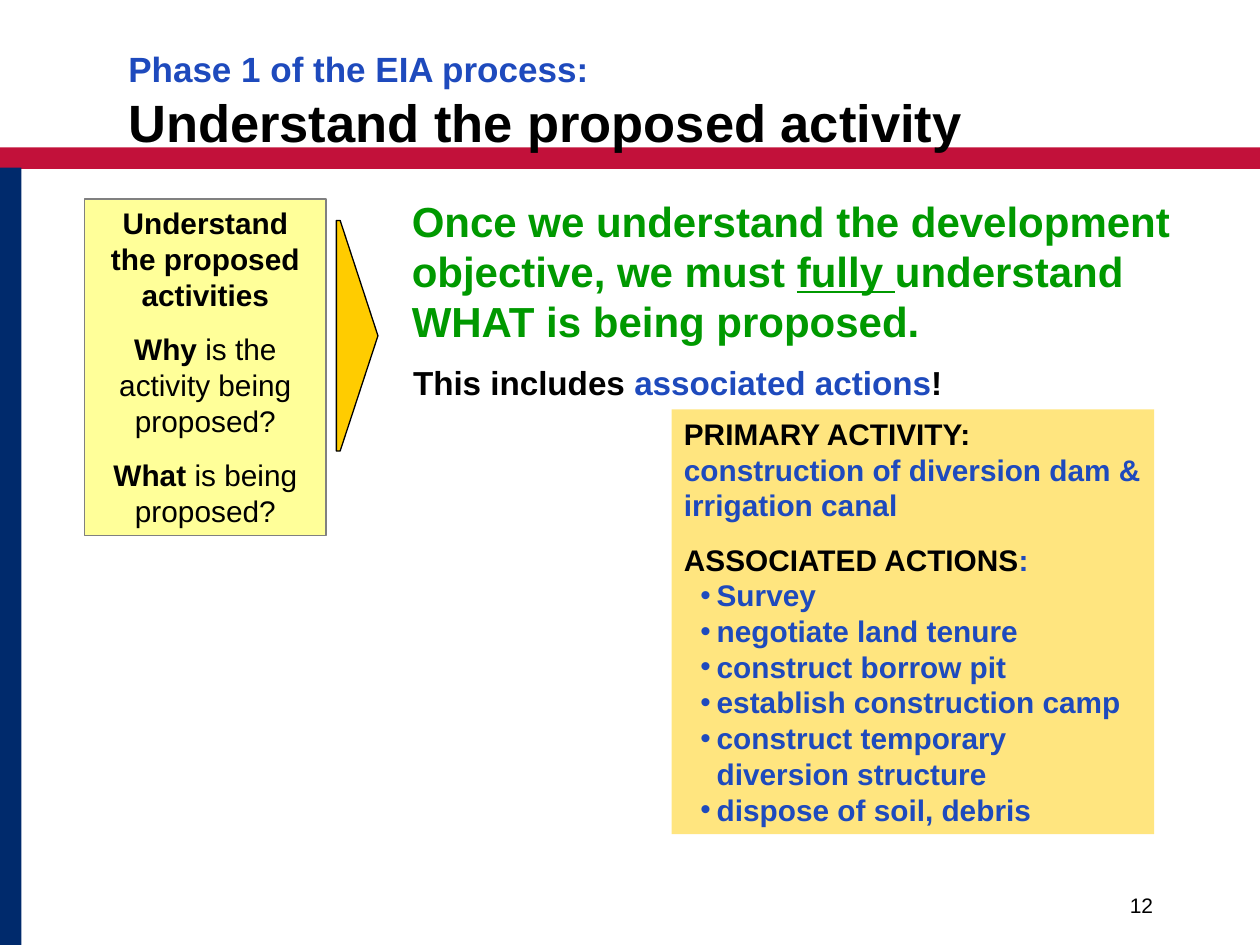
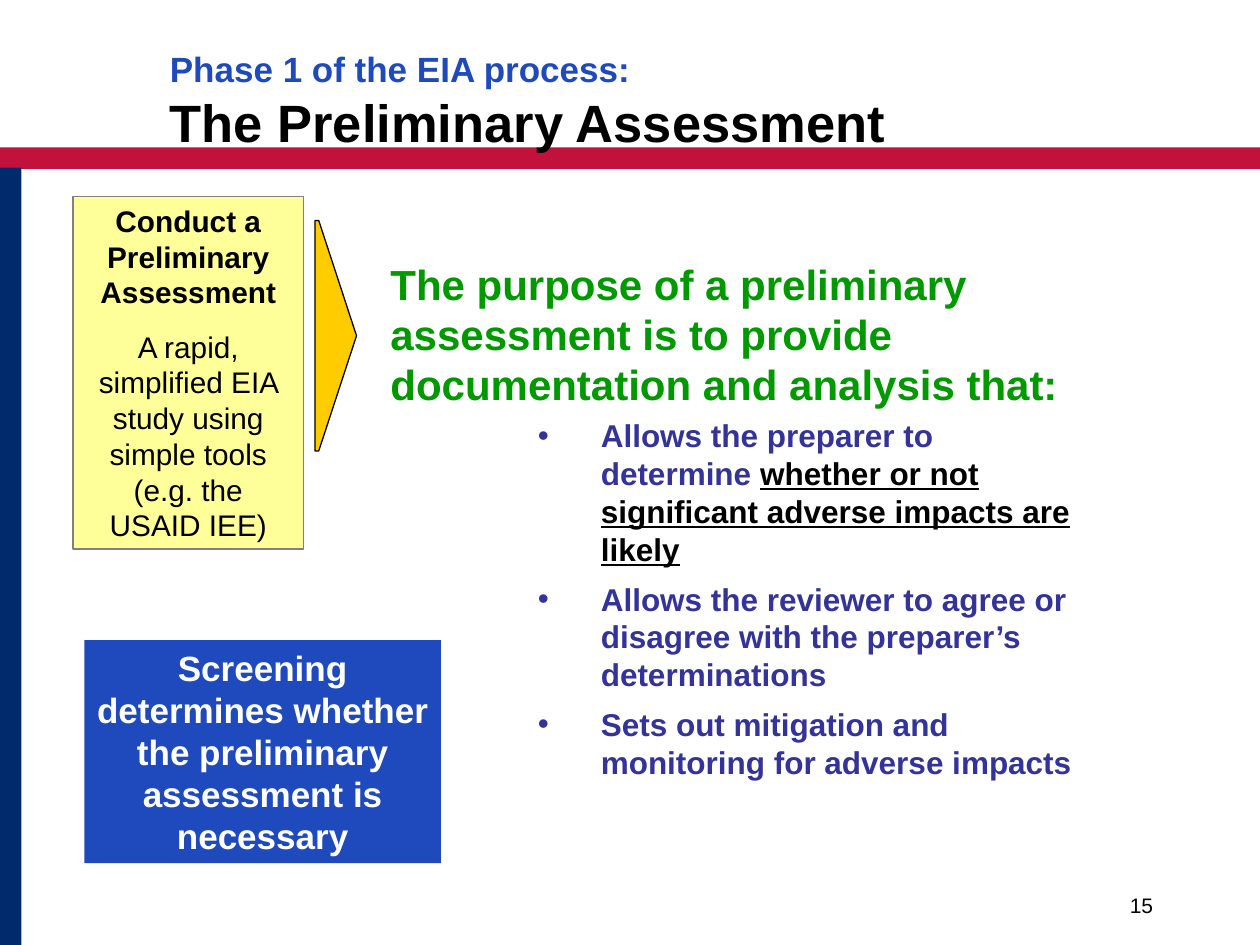
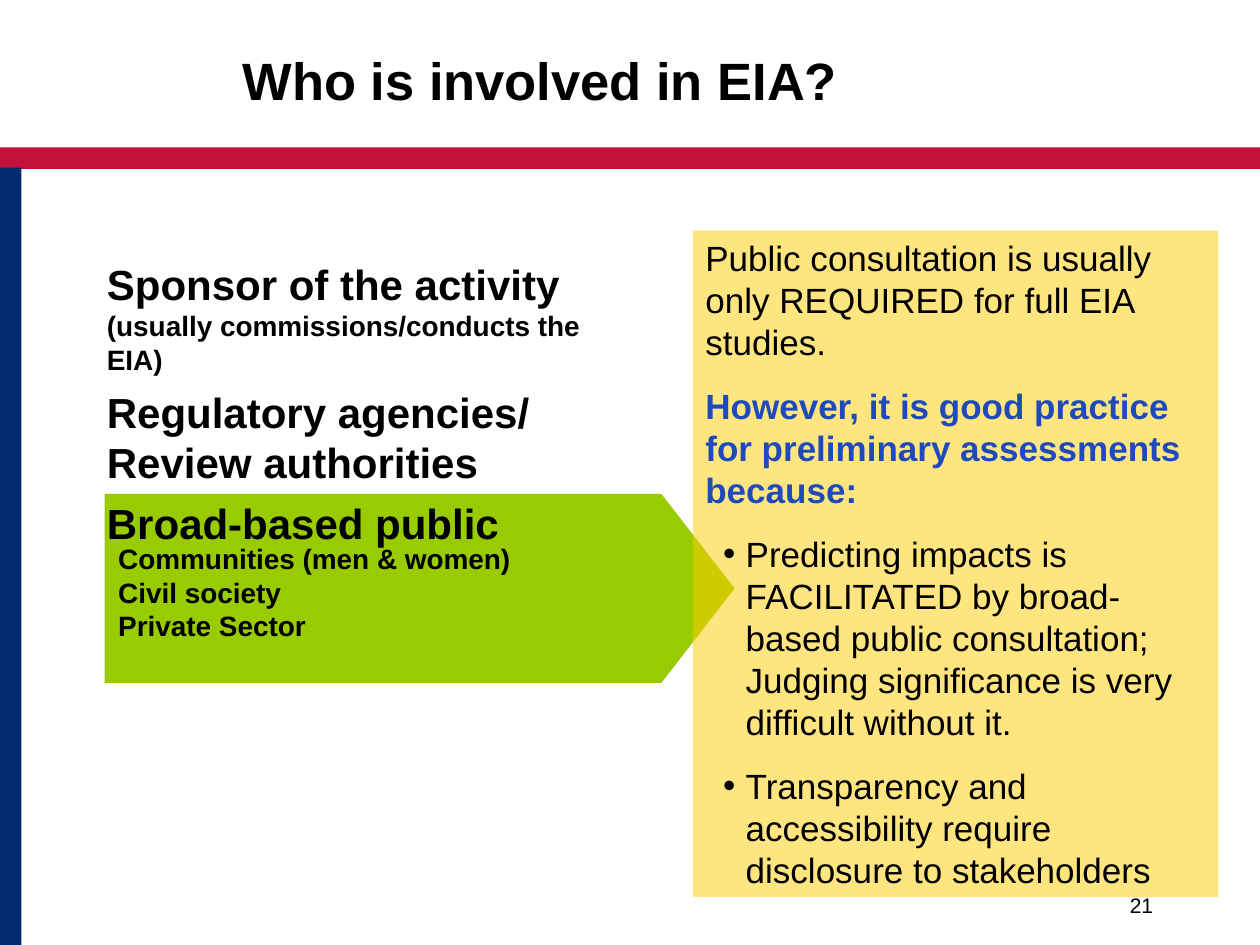
from lxml import etree
from pptx import Presentation
from pptx.dml.color import RGBColor
from pptx.enum.shapes import MSO_SHAPE
from pptx.enum.text import MSO_ANCHOR, PP_ALIGN
from pptx.oxml.ns import qn
from pptx.util import Inches, Pt

RECT = MSO_SHAPE.RECTANGLE
TOP, MIDDLE, BOTTOM = MSO_ANCHOR.TOP, MSO_ANCHOR.MIDDLE, MSO_ANCHOR.BOTTOM
LEFT, CENTER, RIGHT = PP_ALIGN.LEFT, PP_ALIGN.CENTER, PP_ALIGN.RIGHT

FONT = "Arial"
BLACK, WHITE, GRAY = "000000", "FFFFFF", "808080"
RED, NAVY = "C2113A", "002A6C"
BLUE, INDIGO, GREEN = "1E4ABD", "333399", "009900"
GOLD, PALE, LIME = "FFCC00", "FFFF99", "99CC00"


def rgb(color):
    return RGBColor.from_string(color)


def run(text, size, color=BLACK, bold=True, underline=False):
    return text, size, color, bold, underline


def para(*runs, before=0, after=0, bullet=None):
    return runs, before, after, bullet


def add_bullet(p, margin, hang, color, level):
    p.level = level
    pPr = p._p.get_or_add_pPr()
    pPr.set("marL", str(Inches(margin)))
    pPr.set("indent", str(-Inches(hang)))
    clr = etree.SubElement(pPr, qn("a:buClr"))
    etree.SubElement(clr, qn("a:srgbClr")).set("val", color)
    etree.SubElement(pPr, qn("a:buFont")).set("typeface", FONT)
    etree.SubElement(pPr, qn("a:buChar")).set("char", "•")


def write(sp, paras, align=LEFT, anchor=TOP):
    tf = sp.text_frame
    tf.word_wrap = True
    tf.vertical_anchor = anchor
    for i, (runs, before, after, bullet) in enumerate(paras):
        p = tf.paragraphs[0] if i == 0 else tf.add_paragraph()
        if bullet:
            add_bullet(p, *bullet)
        p.alignment = align
        p.space_before = Pt(before)
        p.space_after = Pt(after)
        for text, size, color, bold, underline in runs:
            for n, line in enumerate(text.split("\n")):
                if n:
                    p.add_line_break()
                if not line:
                    continue
                r = p.add_run()
                r.text = line
                r.font.name = FONT
                r.font.size = Pt(size)
                r.font.bold = bold
                r.font.underline = underline
                r.font.color.rgb = rgb(color)


def paint(sp, fill, line=None, width=1, alpha=None):
    sp.shadow.inherit = False
    sp.fill.solid()
    sp.fill.fore_color.rgb = rgb(fill)
    if alpha:
        clr = sp._element.spPr.find(qn("a:solidFill"))[0]
        etree.SubElement(clr, qn("a:alpha")).set("val", str(alpha * 1000))
    if line:
        sp.line.color.rgb = rgb(line)
        sp.line.width = Pt(width)
    else:
        sp.line.fill.background()


def text_box(s, box, paras, **style):
    write(s.shapes.add_textbox(*map(Inches, box)), paras, **style)


def panel(s, box, fill, paras=(), align=LEFT, **look):
    sp = s.shapes.add_shape(RECT, *map(Inches, box))
    paint(sp, fill, **look)
    write(sp, paras, align)


def pointer(s, box, shoulder, fill, line=None):
    x, y, w, h = box
    points = [(x + shoulder, y), (x + w, y + h / 2), (x + shoulder, y + h), (x, y + h)]
    fb = s.shapes.build_freeform(Inches(x), Inches(y))
    fb.add_line_segments([(Inches(px), Inches(py)) for px, py in points])
    paint(fb.convert_to_shape(), fill, line, 0.75)


def frame(prs, number):
    s = prs.slides.add_slide(prs.slide_layouts[6])
    panel(s, (0, 1.17, 10, 0.17), RED)
    panel(s, (0, 1.33, 0.17, 6.17), NAVY)
    text_box(s, (7.17, 6.83, 2.08, 0.5), [para(run(number, 12, bold=False))],
             align=RIGHT, anchor=BOTTOM)
    return s


def title(s, left, text, phase=None):
    runs = [run(phase + "\n", 20, BLUE)] if phase else []
    text_box(s, (left, 0.33, 8.5, 0.67), [para(*runs, run(text, 30))])


def step(s, box, arrow_left, paras):
    panel(s, box, PALE, paras, CENTER, line=GRAY)
    pointer(s, (arrow_left, 1.75, 0.33, 1.83), 0.03, GOLD, BLACK)


def activity_slide(prs, phase):
    s = frame(prs, "12")
    title(s, 0.92, "Understand the proposed activity", phase)
    step(s, (0.67, 1.58, 1.92, 2.67), 2.67, [
        para(run("Understand the proposed activities", 17), after=10.6),
        para(run("Why", 17), run(" is the activity being proposed?", 17, bold=False), after=10.6),
        para(run("What", 17), run(" is being proposed?", 17, bold=False), after=10.6),
    ])
    text_box(s, (3.17, 1.5, 6.83, 1.3), [para(
        run("Once we understand the development objective, we must ", 24, GREEN),
        run("fully ", 24, GREEN, underline=True),
        run("understand WHAT is being proposed.", 24, GREEN))])
    text_box(s, (3.18, 2.83, 4.5, 0.74), [para(
        run("This includes ", 19), run("associated actions", 19, BLUE), run("!", 19))])
    actions = ["Survey", "negotiate land tenure", "construct borrow pit",
               "establish construction camp", "construct temporary diversion structure",
               "dispose of soil, debris"]
    panel(s, (5.33, 3.25, 3.83, 3.37), GOLD, [
        para(run("PRIMARY ACTIVITY: ", 17),
             run("construction of diversion dam & irrigation canal", 17, BLUE)),
        para(run("ASSOCIATED ACTIONS", 17), run(":", 17, BLUE), before=10.6),
        *[para(run(a, 17, BLUE), bullet=(0.26, 0.13, BLUE, 1)) for a in actions],
    ], alpha=50)


def assessment_slide(prs, phase):
    s = frame(prs, "15")
    title(s, 1.25, "The Preliminary Assessment", phase)
    step(s, (0.58, 1.56, 1.83, 2.8), 2.5, [
        para(run("Conduct a Preliminary Assessment", 17)),
        para(run("A rapid, simplified EIA study using simple tools\n(e.g. the USAID IEE)",
                 17, bold=False), before=10.6),
    ])
    text_box(s, (3, 2, 6.25, 1.3), [para(run(
        "The purpose of a preliminary assessment is to provide documentation and analysis that:",
        24, GREEN))])
    panel(s, (0.67, 5.08, 2.83, 1.77), BLUE, [para(run(
        "Screening determines whether the preliminary assessment is necessary", 20, WHITE))],
        CENTER)
    purposes = [
        [run("Allows the preparer to determine ", 18, INDIGO),
         run("whether or not significant adverse impacts are likely", 18, underline=True)],
        [run("Allows the reviewer to agree or disagree with the preparer’s determinations",
             18, INDIGO)],
        [run("Sets out mitigation and monitoring for adverse impacts", 18, INDIGO)],
    ]
    text_box(s, (4.17, 3.25, 4.58, 3),
             [para(*runs, after=6.8, bullet=(0.5, 0.5, INDIGO, 0)) for runs in purposes],
             anchor=MIDDLE)


def people_slide(prs):
    s = frame(prs, "21")
    pointer(s, (0.83, 3.92, 5, 1.5), 4.42, LIME)
    title(s, 1.83, "Who is involved in EIA?")
    text_box(s, (0.75, 2, 4.25, 4.25), [
        para(run("Sponsor of the activity\n", 24),
             run("(usually commissions/conducts the EIA)", 16)),
        para(run("Regulatory agencies/\nReview authorities", 24), before=6),
        para(run("Broad-based public", 24), before=6),
    ])
    reasons = [
        "Predicting impacts is FACILITATED by broad-based public consultation; "
        "Judging significance is very difficult without it.",
        "Transparency and accessibility require disclosure to stakeholders",
    ]
    panel(s, (5.5, 1.83, 4.17, 5.29), GOLD, [
        para(run("Public consultation is usually only REQUIRED for full EIA studies.",
                 20, bold=False)),
        para(run("However, it is good practice for preliminary assessments because:",
                 20, BLUE), before=12.5),
        *[para(run(t, 20, bold=False), before=12.5, bullet=(0.32, 0.18, BLACK, 1))
          for t in reasons],
    ], alpha=50)
    text_box(s, (0.84, 4.25, 3.4, 0.9), [para(run(
        "Communities (men & women)\nCivil society\nPrivate Sector", 16))])


def main():
    prs = Presentation()
    prs.slide_width, prs.slide_height = Inches(10), Inches(7.5)
    phase = "Phase 1 of the EIA process:"
    activity_slide(prs, phase)
    assessment_slide(prs, phase)
    people_slide(prs)
    prs.save("out.pptx")


if __name__ == "__main__":
    main()
